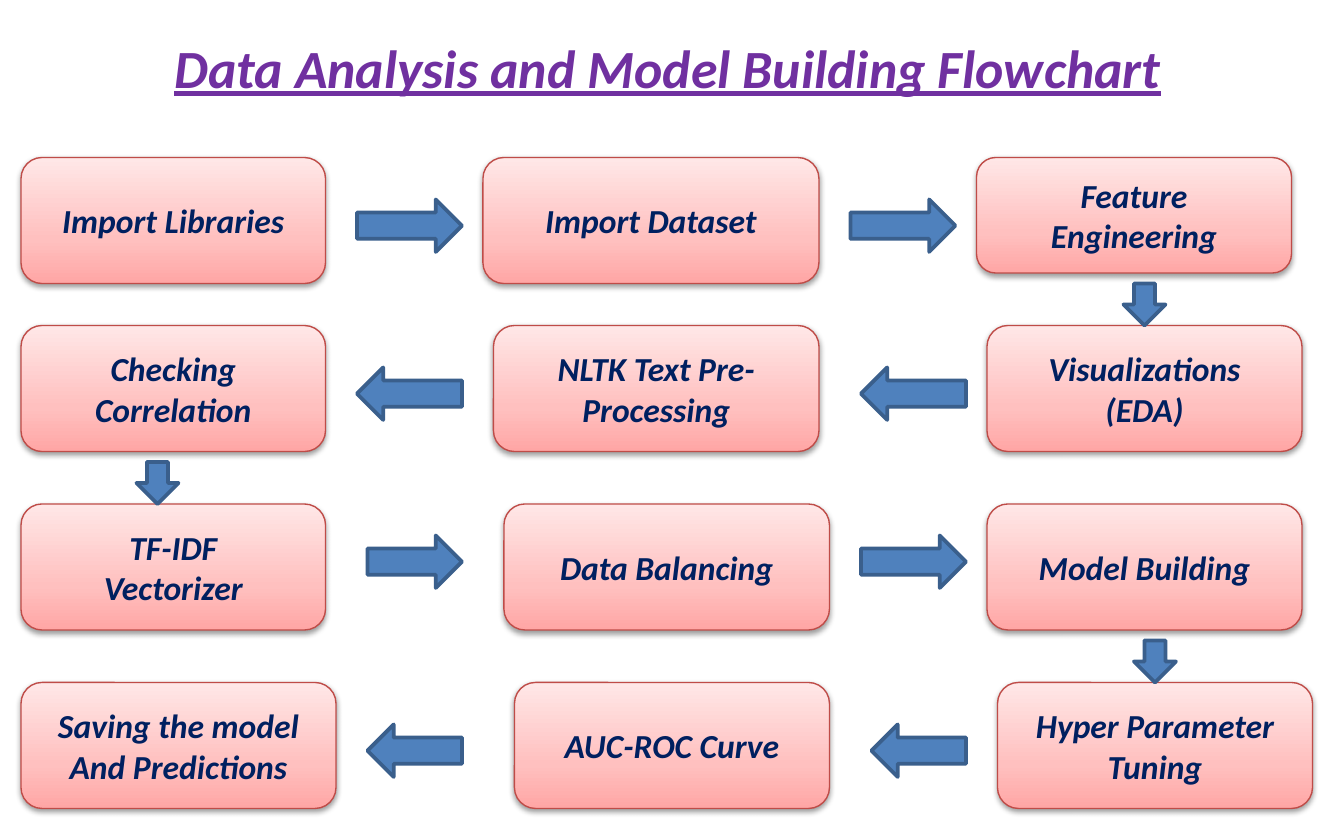
from pptx import Presentation
from pptx import util as u
from pptx.dml.color import RGBColor
from pptx.enum import shapes, text
from pptx.oxml import parse_xml
from pptx.oxml.ns import nsdecls

PURPLE = RGBColor(0x70, 0x30, 0xA0)
NAVY = RGBColor(0x00, 0x20, 0x60)
RED = RGBColor(0xBF, 0x4C, 0x48)
BLUE = RGBColor(0x4F, 0x81, 0xBD)
DARK_BLUE = RGBColor(0x3A, 0x5F, 0x8C)
BLACK = RGBColor(0x00, 0x00, 0x00)
PINKS = [(0, RGBColor(0xFF, 0xA6, 0xA5)),
         (35, RGBColor(0xFF, 0xC0, 0xBF)),
         (100, RGBColor(0xFF, 0xE7, 0xE7))]

GRID = 45 / 8  # points per grid unit; the slide is 128 by 80 units
ROWS = [15, 31, 48, 65]
BOX_HEIGHT = 12

SHAPE = shapes.MSO_SHAPE
RIGHT, LEFT, DOWN = SHAPE.RIGHT_ARROW, SHAPE.LEFT_ARROW, SHAPE.DOWN_ARROW

# Each row holds (left, width, height, lines), in grid units
STEPS = [
    [(2, 29, BOX_HEIGHT, ["Import Libraries"]),
     (46, 32, BOX_HEIGHT, ["Import Dataset"]),
     (93, 30, 11, ["Feature Engineering"])],
    [(2, 29, BOX_HEIGHT, ["Checking Correlation"]),
     (47, 31, BOX_HEIGHT, ["NLTK Text Pre-Processing"]),
     (94, 30, BOX_HEIGHT, ["Visualizations (EDA)"])],
    [(2, 29, BOX_HEIGHT, ["TF-IDF", "Vectorizer"]),
     (48, 31, BOX_HEIGHT, ["Data Balancing"]),
     (94, 30, BOX_HEIGHT, ["Model Building"])],
    [(2, 30, BOX_HEIGHT, ["Saving the model", "And Predictions"]),
     (49, 30, BOX_HEIGHT, ["AUC-ROC Curve"]),
     (95, 30, BOX_HEIGHT, ["Hyper Parameter", "Tuning"])],
]

# (kind, left, top, width, height), in grid units
ARROWS = [
    (RIGHT, 34, 19, 10, 5), (RIGHT, 81, 19, 10, 5), (DOWN, 107, 27, 4, 4),
    (LEFT, 82, 35, 10, 5), (LEFT, 34, 35, 10, 5), (DOWN, 13, 44, 4, 4),
    (RIGHT, 35, 51, 9, 5), (RIGHT, 82, 51, 10, 5), (DOWN, 108, 61, 4, 4),
    (LEFT, 83, 69, 9, 5), (LEFT, 35, 69, 9, 5),
]


def add_grid_shape(page, kind, *place):
    """Add a shape placed in grid units, without the theme shadow."""
    shape = page.shapes.add_shape(kind, *(u.Pt(n * GRID) for n in place))
    shape.shadow.inherit = False
    return shape


def add_gradient_and_shadow(box):
    properties = box.element.spPr
    stops = "".join(f'<a:gs pos="{at * 1000}"><a:srgbClr val="{color}"/></a:gs>'
                    for at, color in PINKS)
    gradient = parse_xml(
        f'<a:gradFill {nsdecls("a")} rotWithShape="1"><a:gsLst>{stops}</a:gsLst>'
        '<a:lin ang="16200000" scaled="1"/></a:gradFill>')
    properties.find("{*}prstGeom").addnext(gradient)
    properties.find("{*}effectLst").append(parse_xml(
        f'<a:outerShdw {nsdecls("a")} blurRad="{u.Pt(3.1)}" dist="{u.Pt(1.6)}" '
        f'dir="5400000" rotWithShape="0"><a:srgbClr val="{BLACK}">'
        '<a:alpha val="38000"/></a:srgbClr></a:outerShdw>'))


deck = Presentation()
deck.slide_width, deck.slide_height = u.Pt(720), u.Pt(450)
page = deck.slides.add_slide(deck.slide_layouts[5])

title = page.shapes.title
title.left, title.top = u.Pt(33.75), u.Pt(16.9)
title.width, title.height = u.Pt(648), u.Pt(37.8)
title.text_frame.text = "Data Analysis and Model Building Flowchart"
title.text_frame.vertical_anchor = text.MSO_ANCHOR.MIDDLE
heading = title.text_frame.paragraphs[0]
heading.alignment = text.PP_ALIGN.CENTER
heading.font.name, heading.font.size = "Calibri", u.Pt(28.8)
heading.font.bold = heading.font.italic = heading.font.underline = True
heading.font.color.rgb = PURPLE

for top, row in zip(ROWS, STEPS):
    for left, width, height, lines in row:
        box = add_grid_shape(page, SHAPE.ROUNDED_RECTANGLE, left, top, width, height)
        add_gradient_and_shadow(box)
        box.line.color.rgb = RED
        box.line.width = u.Pt(0.75)
        frame = box.text_frame
        frame.word_wrap = True
        frame.vertical_anchor = text.MSO_ANCHOR.MIDDLE
        frame.text = "\n".join(lines)
        for para in frame.paragraphs:
            para.alignment = text.PP_ALIGN.CENTER
            para.font.name, para.font.size = "Calibri", u.Pt(18)
            para.font.bold = para.font.italic = True
            para.font.color.rgb = NAVY

for kind, *place in ARROWS:
    arrow = add_grid_shape(page, kind, *place)
    arrow.fill.solid()
    arrow.fill.fore_color.rgb = BLUE
    arrow.line.color.rgb = DARK_BLUE
    arrow.line.width = u.Pt(2)

deck.save("out.pptx")
